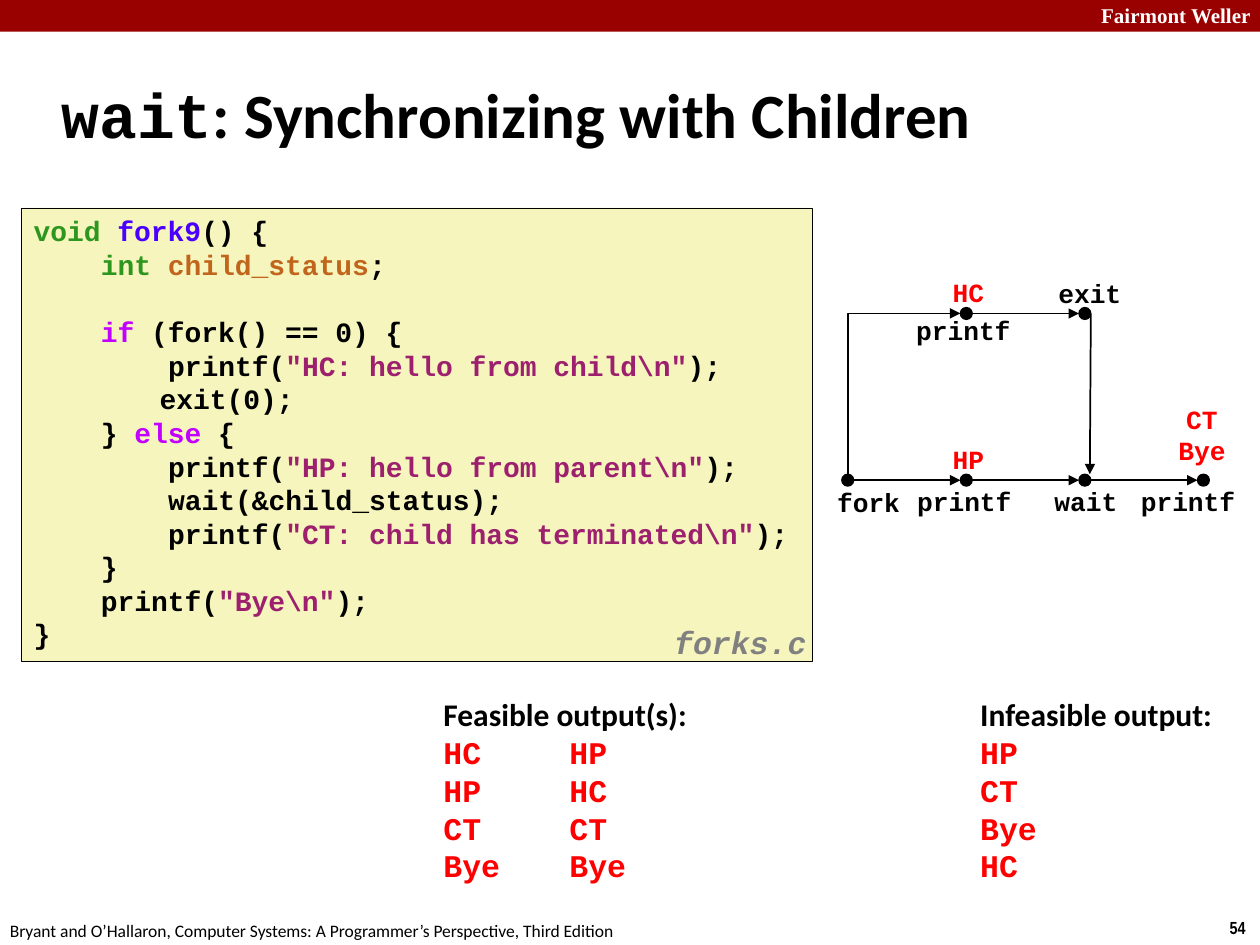
from lxml import etree
from pptx import Presentation
from pptx.dml.color import RGBColor
from pptx.enum.shapes import MSO_CONNECTOR as Connector, MSO_SHAPE as Shape
from pptx.enum.text import MSO_ANCHOR as Anchor, PP_ALIGN as Align
from pptx.oxml.ns import qn
from pptx.util import Cm, Pt

COLORS = {
    "black": "000000", "white": "FFFFFF", "banner": "990000", "code": "F6F5BD",
    "type": "2D961E", "function": "4A00FF", "variable": "C1651C",
    "keyword": "C200FF", "string": "9D206F", "output": "FF0000", "file": "808080",
}
MONO, SANS = "Courier New", "Calibri"

# Code lines: indent in characters, then (text, color) runs
CODE = [
    (0, [("void ", "type"), ("fork9", "function"), ("() {", "black")]),
    (4, [("int ", "type"), ("child_status", "variable"), (";", "black")]),
    (4, [("if", "keyword"), (" (fork() == 0) {", "black")]),
    (8, [("printf(", "black"), ('"HC: hello from child\\n"', "string"), (");", "black")]),
    (7.5, [("exit(0);", "black")]),
    (4, [("} ", "black"), ("else", "keyword"), (" {", "black")]),
    (8, [("printf(", "black"), ('"HP: hello from parent\\n"', "string"), (");", "black")]),
    (8, [("wait(&child_status);", "black")]),
    (8, [("printf(", "black"), ('"CT: child has terminated\\n"', "string"), (");", "black")]),
    (4, [("}", "black")]),
    (4, [("printf(", "black"), ('"Bye\\n"', "string"), (");", "black")]),
    (0, [("}", "black")]),
]
LINE_AFTER_GAP = 2
CODE_SIZE = 16

# Process graph: event columns and process rows, in cm
COLUMNS = [17.09 + 2.39 * step for step in range(4)]
CHILD, PARENT = 6.32, 9.68
DOT = 0.24

# Labels: lines, center x, top, width, color
LABELS = [
    (["fork"], 17.51, 9.68, 2.06, "black"),
    (["printf"], 19.44, 9.66, 2.46, "black"),
    (["wait"], 21.89, 9.66, 2.44, "black"),
    (["printf"], 23.95, 9.66, 2.44, "black"),
    (["printf"], 19.42, 6.22, 2.62, "black"),
    (["exit"], 21.97, 5.46, 2.44, "black"),
    (["HP"], 19.52, 8.81, 1.14, "output"),
    (["HC"], 19.52, 5.44, 1.14, "output"),
    (["CT", "Bye"], 24.23, 8.0, 1.47, "output"),
]

# Output lists: left, width, heading, lines
OUTPUTS = [
    (8.69, 7.62, "Feasible output(s):", ["HC\tHP", "HP\tHC", "CT\tCT", "Bye\tBye"]),
    (19.51, 5.26, "Infeasible output:", ["HP", "CT", "Bye", "HC"]),
]
OUTPUT_TAB = 2.54


def rgb(name):
    return RGBColor.from_string(COLORS[name])


def add_run(paragraph, text, size, font=MONO, color="black", bold=True, italic=False):
    run = paragraph.add_run()
    run.text = text
    run.font.size, run.font.name = Pt(size), font
    run.font.bold, run.font.italic = bold, italic
    run.font.color.rgb = rgb(color)


def add_text(slide, left, top, width, height, wrap=True):
    frame = slide.shapes.add_textbox(Cm(left), Cm(top), Cm(width), Cm(height)).text_frame
    frame.word_wrap = wrap
    return frame


def next_paragraph(frame, index):
    return frame.add_paragraph() if index else frame.paragraphs[0]


def add_tab_stop(paragraph, position):
    tabs = etree.SubElement(paragraph._p.get_or_add_pPr(), qn("a:tabLst"))
    etree.SubElement(tabs, qn("a:tab"), pos=str(Cm(position)), algn="l")


def add_filled(slide, kind, left, top, width, height, fill, line_width=None):
    shape = slide.shapes.add_shape(kind, Cm(left), Cm(top), Cm(width), Cm(height))
    shape.shadow.inherit = False
    shape.fill.solid()
    shape.fill.fore_color.rgb = rgb(fill)
    if line_width:
        shape.line.color.rgb = rgb("black")
        shape.line.width = Pt(line_width)
    else:
        shape.line.fill.background()
    return shape


def add_arrow(slide, x1, y1, x2, y2, kind=Connector.STRAIGHT):
    arrow = slide.shapes.add_connector(kind, Cm(x1), Cm(y1), Cm(x2), Cm(y2))
    arrow.line.color.rgb = rgb("black")
    arrow.line.width = Pt(1)
    etree.SubElement(arrow.line._get_or_add_ln(), qn("a:tailEnd"), type="triangle")
    etree.SubElement(arrow._element.spPr, qn("a:effectLst"))
    return arrow


def add_corner_arrow(slide, x1, y1, x2, y2):
    """Arrow that goes up from the start, then right: a quarter-turned elbow."""
    half_width, half_height = (y1 - y2) / 2, (x2 - x1) / 2
    x, y = (x1 + x2) / 2, (y1 + y2) / 2
    arrow = add_arrow(slide, x + half_width, y + half_height,
                      x - half_width, y - half_height, Connector.ELBOW)
    properties = arrow._element.spPr
    properties.find(qn("a:xfrm")).set("rot", "5400000")
    properties.find(qn("a:prstGeom")).set("prst", "bentConnector2")


def add_code(slide):
    shape = add_filled(slide, Shape.RECTANGLE, 0.43, 4.19, 15.95, 9.14, "code", 0.25)
    frame = shape.text_frame
    frame.word_wrap = True
    frame.vertical_anchor = Anchor.TOP
    for index, (indent, runs) in enumerate(CODE):
        paragraph = next_paragraph(frame, index)
        paragraph.alignment = Align.LEFT
        margin = Pt(indent * CODE_SIZE * 0.6)
        paragraph._p.get_or_add_pPr().set("marL", str(margin))
        if index == LINE_AFTER_GAP:
            paragraph.space_before = Pt(CODE_SIZE * 1.2)
        for text, color in runs:
            add_run(paragraph, text, CODE_SIZE, color=color)


def add_graph(slide):
    events = [(x, PARENT) for x in COLUMNS] + [(x, CHILD) for x in COLUMNS[1:3]]
    for x, y in events:
        add_filled(slide, Shape.OVAL, x - DOT / 2, y - DOT / 2, DOT, DOT, "black", 0.75)
    for (x1, y1), (x2, y2) in zip(events, events[1:]):
        if y1 == y2:
            add_arrow(slide, x1 + DOT / 2, y1, x2 - DOT / 2, y2)
    # Fork of the child, and its exit joining the wait
    add_corner_arrow(slide, COLUMNS[0], PARENT - DOT / 2, COLUMNS[1] - DOT / 2, CHILD)
    add_arrow(slide, COLUMNS[2] + DOT / 2, CHILD, COLUMNS[2] + 0.1, PARENT - DOT / 2)
    for lines, center, top, width, color in LABELS:
        height = 0.23 + 0.66 * len(lines)
        frame = add_text(slide, center - width / 2, top, width, height, wrap=False)
        for index, line in enumerate(lines):
            paragraph = next_paragraph(frame, index)
            paragraph.alignment = Align.CENTER
            add_run(paragraph, line, 15, color=color)


def add_output(slide, left, width, heading, lines):
    frame = add_text(slide, left, 13.89, width, 4.11)
    add_run(frame.paragraphs[0], heading, 18, SANS)
    for line in lines:
        paragraph = frame.add_paragraph()
        if "\t" in line:
            add_tab_stop(paragraph, OUTPUT_TAB)
        add_run(paragraph, line, 18, color="output")


def main():
    presentation = Presentation()
    presentation.slide_width, presentation.slide_height = Cm(25.4), Cm(19.05)
    slide = presentation.slides.add_slide(presentation.slide_layouts[6])

    # Banner and footer
    add_filled(slide, Shape.RECTANGLE, 0, 0, 25.4, 0.64, "banner")
    banner = add_text(slide, 21.95, -0.08, 3.63, 0.76)
    add_run(banner.paragraphs[0], "Fairmont Weller", 12, "Times New Roman", "white")
    number = add_text(slide, 24.54, 18.36, 0.86, 0.69, wrap=False)
    add_run(number.paragraphs[0], "54", 10, "Arial Narrow")
    footer = add_text(slide, -0.05, 18.42, 12.9, 0.69)
    add_run(footer.paragraphs[0], "Bryant and O’Hallaron, Computer Systems: "
            "A Programmer’s Perspective, Third Edition", 10, SANS, bold=False)

    # Title
    title = add_text(slide, 0.99, 1.24, 21.08, 2.11)
    title.vertical_anchor = Anchor.MIDDLE
    add_run(title.paragraphs[0], "wait", 36)
    add_run(title.paragraphs[0], ": Synchronizing with Children", 36, SANS)

    # Code, process graph, file name and outputs
    add_code(slide)
    add_graph(slide)
    file_name = add_text(slide, 13.34, 12.5, 3.35, 0.99)
    file_name.paragraphs[0].line_spacing = 0.94
    add_run(file_name.paragraphs[0], "forks.c", 18, color="file", italic=True)
    for output in OUTPUTS:
        add_output(slide, *output)

    presentation.save("out.pptx")


if __name__ == "__main__":
    main()
